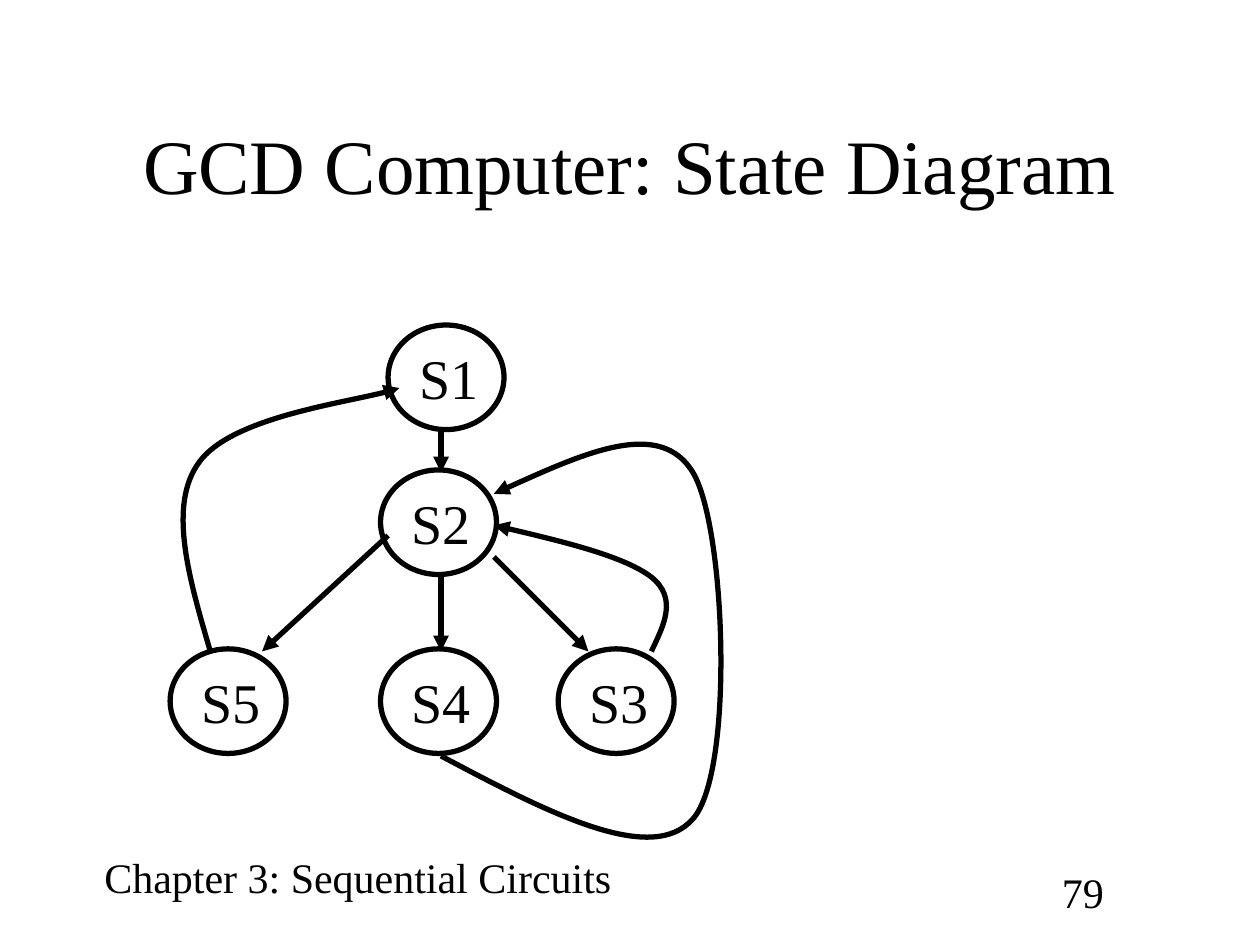
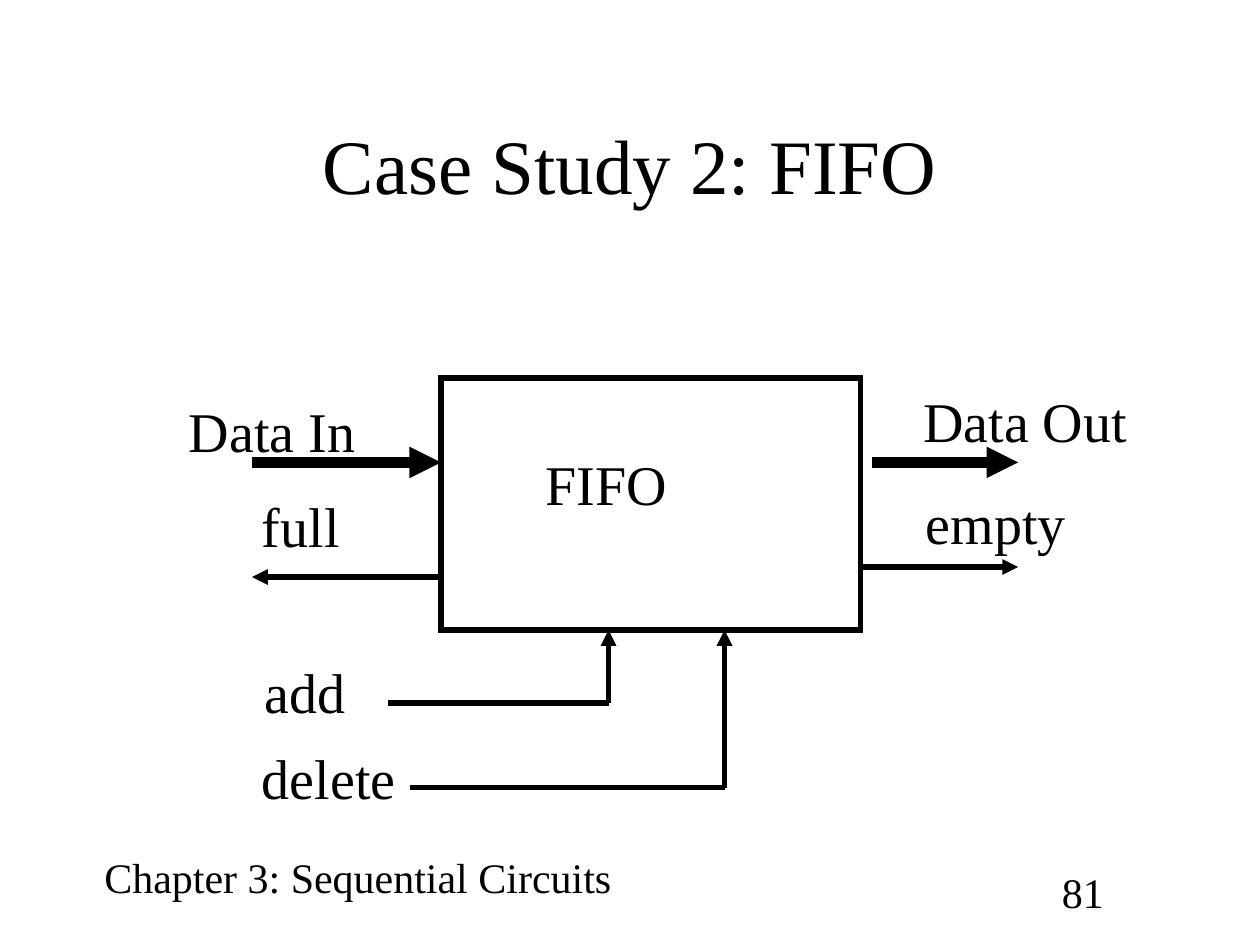
"""Build two lecture slides: a GCD state diagram and a FIFO block diagram."""
from typing import NamedTuple

from lxml import etree
from pptx import Presentation
from pptx.dml.color import RGBColor
from pptx.enum.shapes import MSO_CONNECTOR, MSO_SHAPE
from pptx.enum.text import MSO_ANCHOR, MSO_AUTO_SIZE, PP_ALIGN
from pptx.oxml.ns import qn
from pptx.slide import Slide
from pptx.util import Inches, Pt

STRAIGHT = MSO_CONNECTOR.STRAIGHT
OVAL, RECTANGLE = MSO_SHAPE.OVAL, MSO_SHAPE.RECTANGLE
LEFT, CENTER = PP_ALIGN.LEFT, PP_ALIGN.CENTER
TOP, MIDDLE = MSO_ANCHOR.TOP, MSO_ANCHOR.MIDDLE
FIT_SHAPE, FIXED_SIZE = MSO_AUTO_SIZE.SHAPE_TO_FIT_TEXT, MSO_AUTO_SIZE.NONE

INK = "000000"
PAPER = "FFFFFF"
FONT = "Times New Roman"
FOOTER = "Chapter 3: Sequential Circuits"
LINE_WIDTH, BUS_WIDTH = 3, 6
TITLE_SIZE, LABEL_SIZE, FOOTER_SIZE = 44, 32, 24
LABEL_HEIGHT = 0.64
STATE_WIDTH, STATE_HEIGHT = 0.92, 0.83

Point = tuple[float, float]


class State(NamedTuple):
    """A named state and the top left corner of its circle."""

    name: str
    left: float
    top: float


class Label(NamedTuple):
    """A signal name with its position and width."""

    text: str
    left: float
    top: float
    width: float


class Line(NamedTuple):
    """A straight line that points at its end unless arrow is off."""

    start: Point
    end: Point
    width: float = LINE_WIDTH
    arrow: bool = True


MIDDLE_LEFT, BOTTOM_ROW = 3.02, 5.15
STATES = [
    State("S1", 3.08, 2.58),
    State("S2", MIDDLE_LEFT, 3.73),
    State("S3", 4.43, BOTTOM_ROW),
    State("S4", MIDDLE_LEFT, BOTTOM_ROW),
    State("S5", 1.35, BOTTOM_ROW),
]
TRANSITIONS = [
    Line((3.5, 3.42), (3.5, 3.75)),
    Line((3.5, 4.58), (3.5, 5.17)),
    Line((3.92, 4.42), (4.67, 5.17)),
    Line((3.08, 4.25), (2.08, 5.17)),
]
RETURN_CURVES: list[list[Point]] = [
    [(1.67, 5.17), (1.5, 4.59), (1.33, 4.01), (1.58, 3.67),
     (1.83, 3.32), (2.92, 3.17), (3.17, 3.08)],
    [(3.5, 6), (4.33, 6.44), (5.17, 6.88), (5.5, 6.5), (5.83, 6.13),
     (5.76, 4.18), (5.5, 3.75), (5.24, 3.32), (4.58, 3.62), (3.92, 3.92)],
    [(5.17, 5.17), (5.27, 4.96), (5.38, 4.75), (5.17, 4.58),
     (4.96, 4.42), (4.44, 4.29), (3.92, 4.17)],
]

FIFO_LEFT, FIFO_TOP, FIFO_WIDTH, FIFO_HEIGHT = 3.5, 3, 3.33, 2
FIFO_RIGHT, FIFO_BOTTOM = FIFO_LEFT + FIFO_WIDTH, FIFO_TOP + FIFO_HEIGHT
DATA_LEVEL, INPUT_END, OUTPUT_END = 3.67, 2, 8.08
SIGNALS = [
    Line((INPUT_END, DATA_LEVEL), (FIFO_LEFT, DATA_LEVEL), BUS_WIDTH),
    Line((FIFO_LEFT, 4.58), (INPUT_END, 4.58)),
    Line((FIFO_RIGHT, 4.5), (OUTPUT_END, 4.5)),
    Line((6.92, DATA_LEVEL), (OUTPUT_END, DATA_LEVEL), BUS_WIDTH),
]
CONTROL_CORNERS: list[tuple[float, Point]] = [
    (3.08, (4.83, 5.58)),
    (3.25, (5.75, 6.25)),
]
SIGNAL_LABELS = [
    Label("FIFO", 4.23, 3.52, 1.25),
    Label("Data In", 1.4, 3.1, 1.55),
    Label("Data Out", 7.23, 3.02, 1.85),
    Label("empty", 7.25, 3.83, 1.35),
    Label("full", 1.98, 3.85, 0.85),
    Label("add", 2, 5.17, 0.88),
    Label("delete", 1.98, 5.85, 1.3),
]


def color(hex_value: str) -> RGBColor:
    """Turn a hex string into a colour."""
    return RGBColor.from_string(hex_value)


def add_text(slide: Slide, text: str, left: float, top: float, width: float,
             height: float = LABEL_HEIGHT, *, size: float = LABEL_SIZE,
             align: PP_ALIGN = LEFT, anchor: MSO_ANCHOR = TOP,
             wrap: bool = False, fit: MSO_AUTO_SIZE = FIT_SHAPE) -> None:
    """Add one paragraph of text in a box."""
    box = slide.shapes.add_textbox(
        Inches(left), Inches(top), Inches(width), Inches(height))
    frame = box.text_frame
    frame.word_wrap = wrap
    frame.auto_size = fit
    frame.vertical_anchor = anchor
    paragraph = frame.paragraphs[0]
    paragraph.text = text
    paragraph.alignment = align
    paragraph.font.name = FONT
    paragraph.font.size = Pt(size)
    paragraph.font.color.rgb = color(INK)


def style_line(shape, width: float = LINE_WIDTH, arrow: bool = False) -> None:
    """Set the ink line of a shape or connector, with an optional arrowhead."""
    shape.line.color.rgb = color(INK)
    shape.line.width = Pt(width)
    outline = shape.line._get_or_add_ln()
    etree.SubElement(outline, qn("a:miter"), lim="800000")
    if arrow:
        etree.SubElement(outline, qn("a:tailEnd"), type="triangle")


def add_outline(slide: Slide, kind: MSO_SHAPE, left: float, top: float,
                width: float, height: float) -> None:
    """Add an unfilled preset shape."""
    shape = slide.shapes.add_shape(
        kind, Inches(left), Inches(top), Inches(width), Inches(height))
    shape.shadow.inherit = False
    shape.fill.background()
    style_line(shape)


def add_line(slide: Slide, line: Line) -> None:
    """Add a straight connector."""
    connector = slide.shapes.add_connector(
        STRAIGHT, *(Inches(value) for value in line.start + line.end))
    style_line(connector, line.width, line.arrow)
    etree.SubElement(connector.element.spPr, qn("a:effectLst"))


def add_curve(slide: Slide, points: list[Point]) -> None:
    """Add an open arrow made of cubic Bezier segments."""
    start, *others = [(Inches(x), Inches(y)) for x, y in points]
    builder = slide.shapes.build_freeform(*start)
    builder.add_line_segments(others, close=False)
    shape = builder.convert_to_shape()
    segments = list(shape.element.iter(qn("a:lnTo")))
    for index in range(0, len(segments), 3):
        first, *following = segments[index:index + 3]
        first.tag = qn("a:cubicBezTo")
        for segment in following:
            first.append(segment[0])
            segment.getparent().remove(segment)
    shape.shadow.inherit = False
    shape.fill.background()
    style_line(shape, arrow=True)


def add_slide(presentation: Presentation, title: str, number: int) -> Slide:
    """Add a slide with the shared background, footer and title."""
    slide = presentation.slides.add_slide(presentation.slide_layouts[6])
    slide.background.fill.solid()
    slide.background.fill.fore_color.rgb = color(PAPER)
    add_text(slide, FOOTER, 0.73, 6.71, 4.47, 0.5, size=FOOTER_SIZE)
    add_text(slide, str(number), 8.33, 6.83, 0.92, 0.5, size=FOOTER_SIZE,
             wrap=True)
    add_text(slide, title, 0.75, 0.67, 8.5, 1.25, size=TITLE_SIZE,
             align=CENTER, anchor=MIDDLE, wrap=True, fit=FIXED_SIZE)
    return slide


def build_state_diagram(presentation: Presentation) -> None:
    """Draw the states of the GCD computer and their transitions."""
    slide = add_slide(presentation, "GCD Computer: State Diagram", 79)
    for state in STATES:
        add_outline(slide, OVAL, state.left, state.top,
                    STATE_WIDTH, STATE_HEIGHT)
        add_text(slide, state.name, state.left + 0.15, state.top + 0.1, 0.67)
    for transition in TRANSITIONS:
        add_line(slide, transition)
    for points in RETURN_CURVES:
        add_curve(slide, points)


def build_fifo(presentation: Presentation) -> None:
    """Draw the FIFO block with its data and control signals."""
    slide = add_slide(presentation, "Case Study 2: FIFO", 81)
    add_outline(slide, RECTANGLE, FIFO_LEFT, FIFO_TOP, FIFO_WIDTH, FIFO_HEIGHT)
    for signal in SIGNALS:
        add_line(slide, signal)
    for start, corner in CONTROL_CORNERS:
        add_line(slide, Line((start, corner[1]), corner, arrow=False))
        add_line(slide, Line(corner, (corner[0], FIFO_BOTTOM)))
    for label in SIGNAL_LABELS:
        add_text(slide, *label)


def main() -> None:
    """Build and save the presentation."""
    presentation = Presentation()
    presentation.slide_width = Inches(10)
    presentation.slide_height = Inches(7.5)
    build_state_diagram(presentation)
    build_fifo(presentation)
    presentation.save("out.pptx")


if __name__ == "__main__":
    main()
